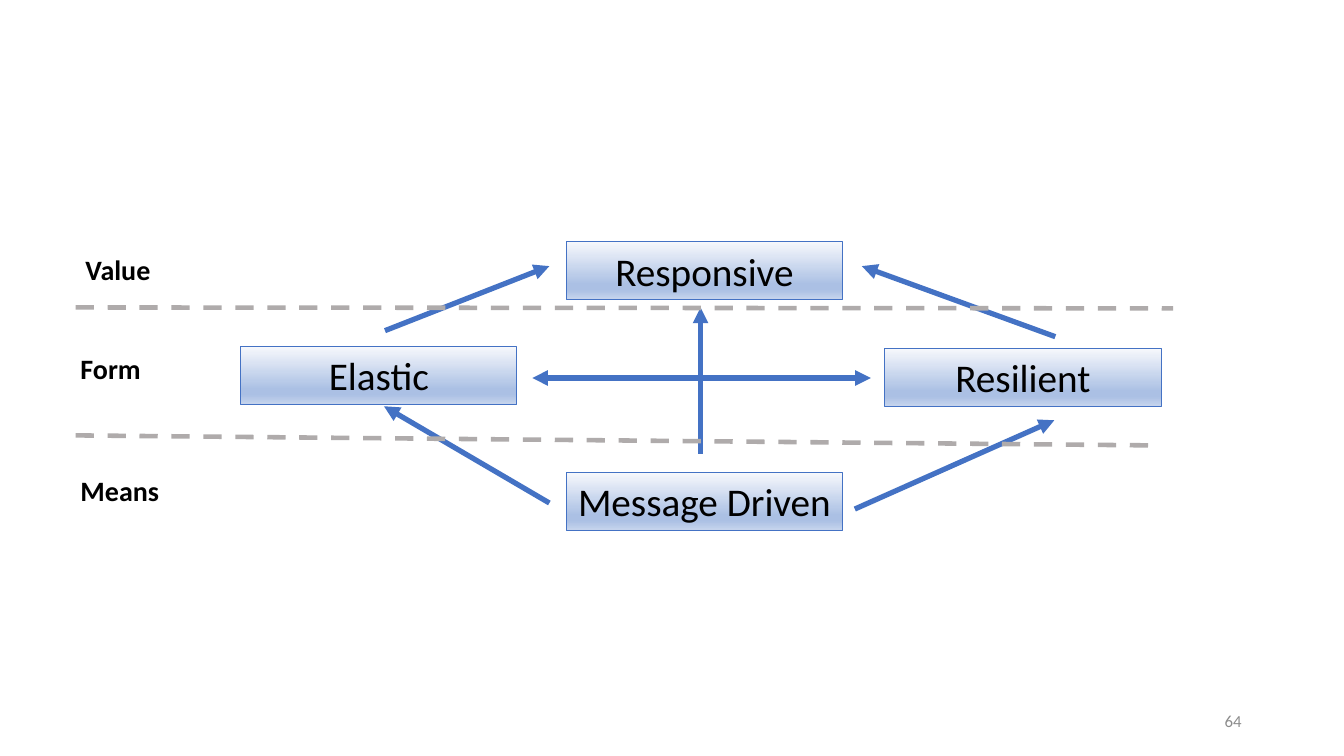
from lxml.etree import SubElement
from pptx import Presentation
from pptx.dml.color import RGBColor
from pptx.enum.dml import MSO_LINE
from pptx.enum.shapes import MSO_CONNECTOR, MSO_SHAPE
from pptx.enum.text import MSO_ANCHOR, PP_ALIGN
from pptx.oxml.ns import qn
from pptx.util import Pt

BLUE = RGBColor(0x44, 0x72, 0xC4)
DIVIDER = RGBColor(0xAF, 0xAB, 0xAB)
BLACK = RGBColor(0, 0, 0)
GRAY = RGBColor(0x8C, 0x8C, 0x8C)
TRAIT_STOPS = [
    (0, RGBColor(0xF6, 0xF8, 0xFC)),
    (74, RGBColor(0xAB, 0xC0, 0xE4)),
    (83, RGBColor(0xAB, 0xC0, 0xE4)),
    (100, RGBColor(0xC7, 0xD5, 0xED)),
]
FONT = "Calibri"
TRAIT_W, TRAIT_H = 197.3, 41.2
LABEL_W, LABEL_H = 103, 31.7


def write(sp, text, size, color, align=PP_ALIGN.LEFT, bold=False, anchor=MSO_ANCHOR.TOP, wrap=True):
    tf = sp.text_frame
    tf.word_wrap = wrap
    tf.vertical_anchor = anchor
    p = tf.paragraphs[0]
    p.alignment = align
    r = p.add_run()
    r.text = text
    r.font.name = FONT
    r.font.size = Pt(size)
    r.font.bold = bold
    r.font.color.rgb = color


def add_text(s, box, text, size, color, **style):
    sp = s.shapes.add_textbox(*map(Pt, box))
    write(sp, text, size, color, **style)


def add_line(s, start, end, color, width):
    line = s.shapes.add_connector(MSO_CONNECTOR.STRAIGHT, *map(Pt, (*start, *end)))
    line.line.color.rgb = color
    line.line.width = Pt(width)
    SubElement(line._element.spPr, qn("a:effectLst"))
    return line


def add_arrow(s, start, end, ends=("tailEnd",)):
    line = add_line(s, start, end, BLUE, 3.75)
    for name in ends:
        SubElement(line.line._get_or_add_ln(), qn(f"a:{name}"), type="triangle")


def fill_gradient(sp):
    sp.fill.gradient()
    sp.fill.gradient_angle = 270
    stops = sp._element.spPr.find(qn("a:gradFill")).find(qn("a:gsLst"))
    for gs in list(stops):
        stops.remove(gs)
    for pos, color in TRAIT_STOPS:
        gs = SubElement(stops, qn("a:gs"), pos=str(pos * 1000))
        SubElement(gs, qn("a:srgbClr"), val=str(color))


def add_trait(s, x, y, text, wrap=True):
    sp = s.shapes.add_shape(MSO_SHAPE.RECTANGLE, *map(Pt, (x, y, TRAIT_W, TRAIT_H)))
    sp.shadow.inherit = False
    fill_gradient(sp)
    sp.line.color.rgb = BLUE
    sp.line.width = Pt(0.75)
    write(sp, text, 28, BLACK, PP_ALIGN.CENTER, wrap=wrap)


def add_traits(s, left, top, width, height):
    middle = left + (width - TRAIT_W) / 2 + 2.5
    add_trait(s, middle, top + height - TRAIT_H, "Message Driven", wrap=False)
    add_trait(s, middle, top, "Responsive")
    add_trait(s, left + width - TRAIT_W, top + 76.3, "Resilient")
    add_trait(s, left, top + 74.9, "Elastic")

    both = ("headEnd", "tailEnd")
    for (x1, y1), (x2, y2), ends in [
        ((328.4, 151.2), (328.4, 46.8), both[1:]),
        ((208.2, 97.2), (450.1, 97.2), both),
        ((103, 63.4), (220.4, 17.3), both[1:]),
        ((581.8, 67.7), (443.6, 17.3), both[1:]),
        ((220.4, 186.5), (102.3, 117.4), both[1:]),
        ((438.6, 190.8), (581.1, 127.4), both[1:]),
    ]:
        add_arrow(s, (left + x1, top + y1), (left + x2, top + y2), ends)


def add_levels(s, left, top, width):
    for y1, x2, y2 in [(134, width - 9.4, 141.2), (42.6, width, 43.3)]:
        line = add_line(s, (left, top + y1), (left + x2, top + y2), DIVIDER, 3.25)
        line.line.dash_style = MSO_LINE.DASH
    for text, x, y in [("Value", 0, 0), ("Form", -3.6, 70.7), ("Means", -3.6, 157.8)]:
        add_text(s, (left + x, top + y, LABEL_W, LABEL_H), text, 20, BLACK, bold=True)


def add_page_number(s, left, top, width, height):
    add_text(s, (left, top, width, height), "64", 12, GRAY,
             align=PP_ALIGN.RIGHT, anchor=MSO_ANCHOR.MIDDLE)


def main():
    prs = Presentation()
    prs.slide_width, prs.slide_height = Pt(960), Pt(540)
    s = prs.slides.add_slide(prs.slide_layouts[6])
    add_traits(s, 172, 172.8, 657.4, 206.1)
    add_levels(s, 54, 177, 784)
    add_page_number(s, 678, 500.5, 216, 28.8)
    prs.save("out.pptx")


if __name__ == "__main__":
    main()
